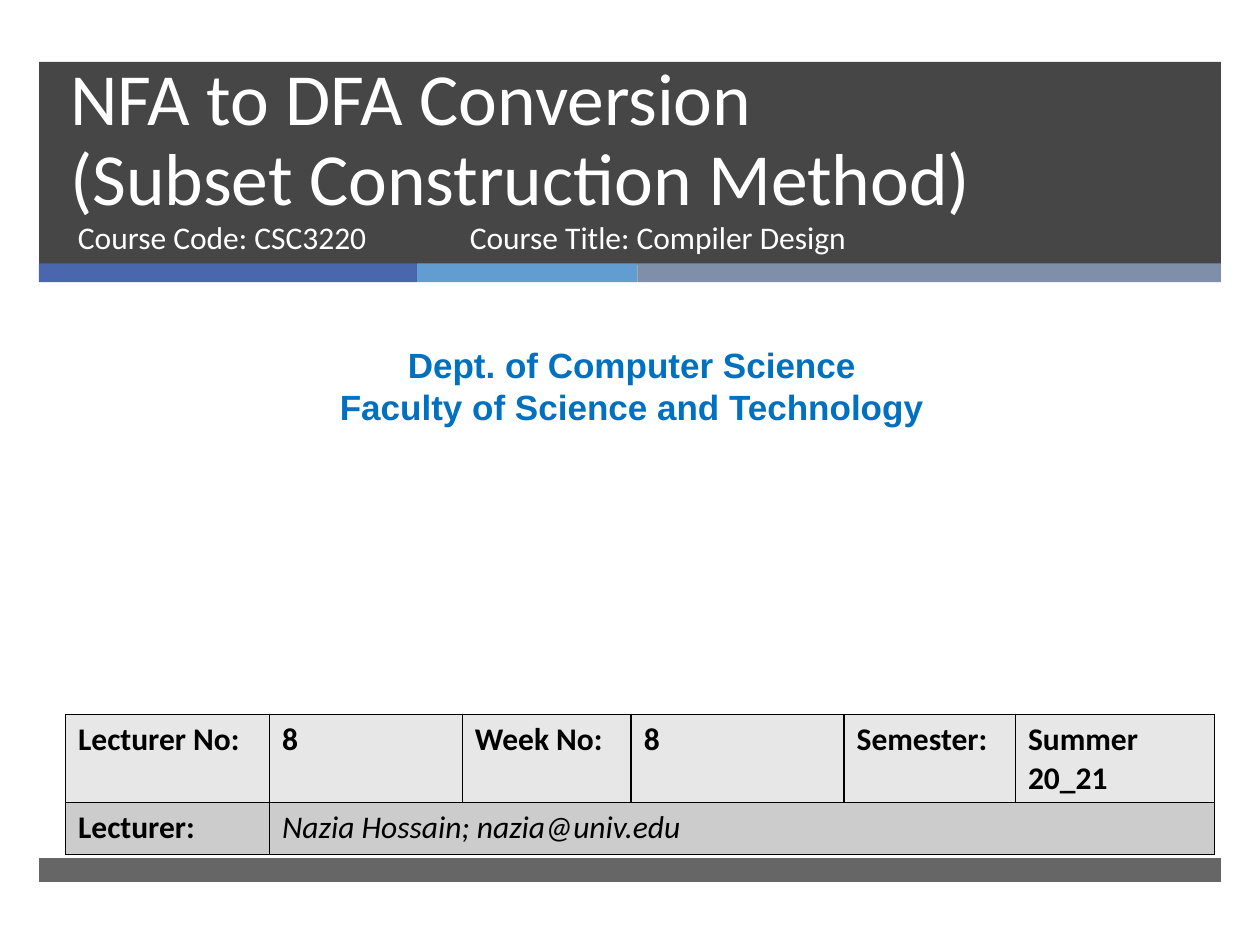
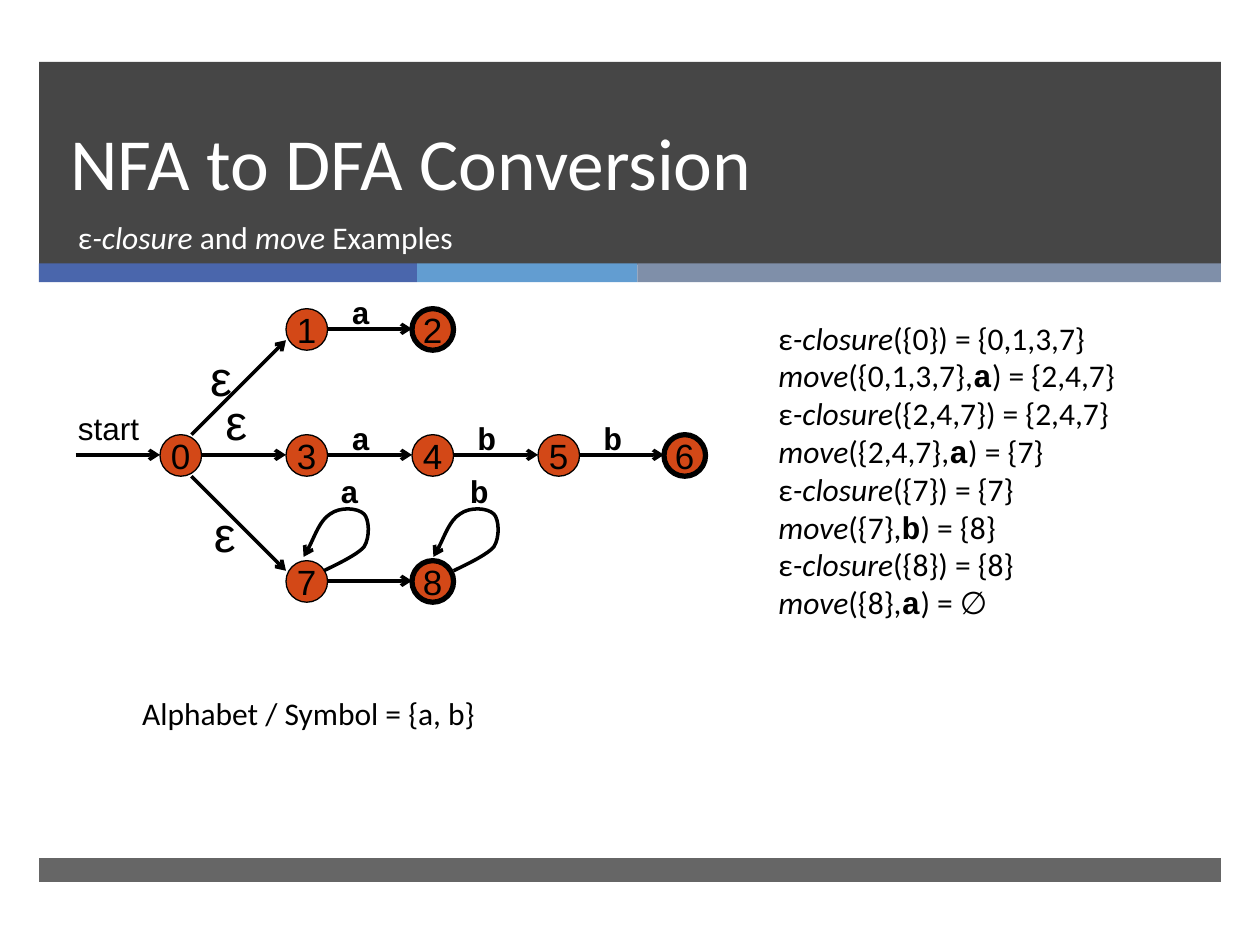
from typing import NamedTuple

from lxml.etree import SubElement
from pptx import Presentation
from pptx.dml.color import RGBColor
from pptx.enum.shapes import MSO_CONNECTOR, MSO_SHAPE
from pptx.enum.text import MSO_ANCHOR, MSO_AUTO_SIZE, PP_ALIGN
from pptx.oxml.ns import qn
from pptx.util import Inches, Pt

# Colours
WHITE = RGBColor(0xFF, 0xFF, 0xFF)
BLACK = RGBColor(0x00, 0x00, 0x00)
CHARCOAL = RGBColor(0x26, 0x26, 0x26)
INDIGO = RGBColor(0x4A, 0x66, 0xAC)
SKY = RGBColor(0x62, 0x9D, 0xD1)
SLATE = RGBColor(0x7F, 0x8F, 0xA9)
DEPARTMENT_BLUE = RGBColor(0x00, 0x70, 0xC0)
STATE_ORANGE = RGBColor(0xD3, 0x48, 0x17)
ROW_LIGHT = RGBColor(0xE7, 0xE7, 0xE7)
ROW_DARK = RGBColor(0xCC, 0xCC, 0xCC)

# Text styles
TITLE = {"name": "Calibri", "size": Pt(42), "color": WHITE}
SUBTITLE = {"name": "Calibri", "size": Pt(18), "color": WHITE}
BODY = {"name": "Calibri", "size": Pt(18), "color": BLACK}
BODY_BOLD = BODY | {"bold": True}
BODY_ITALIC = BODY | {"italic": True}
SYMBOL = BODY_BOLD | {"name": "Courier New"}
DEPARTMENT = {"name": "Arial", "size": Pt(20), "bold": True, "color": DEPARTMENT_BLUE}
STATE_TEXT = {"name": "Arial", "size": Pt(20), "color": BLACK}
START_TEXT = STATE_TEXT | {"size": Pt(18)}
EPSILON = STATE_TEXT | {"size": Pt(28)}

STATE_SIZE = 0.33


class Box(NamedTuple):
    left: float
    top: float
    width: float
    height: float


class Band(NamedTuple):
    box: Box
    color: RGBColor
    opacity: int = 100


class Run(NamedTuple):
    text: str
    style: dict


class State(NamedTuple):
    label: str
    column: int
    row: int
    accepting: bool = False

    @property
    def left(self) -> float:
        return 1.27 + self.column

    @property
    def top(self) -> float:
        return 2.45 + self.row


class Transition(NamedTuple):
    source: str
    target: str
    symbol: str = ""


BANDS = [
    Band(Box(0.31, 0.49, 9.38, 1.61), CHARCOAL, 85),
    Band(Box(0.31, 2.09, 3, 0.15), INDIGO),
    Band(Box(3.31, 2.09, 1.75, 0.15), SKY),
    Band(Box(5.06, 2.09, 4.63, 0.15), SLATE),
    Band(Box(0.31, 6.81, 9.38, 0.19), CHARCOAL, 70),
]

STATES = [
    State("0", 0, 1),
    State("1", 1, 0),
    State("2", 2, 0, True),
    State("3", 1, 1),
    State("4", 2, 1),
    State("5", 3, 1),
    State("6", 4, 1, True),
    State("7", 1, 2),
    State("8", 2, 2, True),
]

TRANSITIONS = [
    Transition("1", "2", "a"),
    Transition("0", "3"),
    Transition("3", "4", "a"),
    Transition("4", "5", "b"),
    Transition("5", "6", "b"),
    Transition("7", "8"),
]

# Self-loop as a start point and Bézier triples, for state 7
LOOP_POINTS = [
    (2.57, 4.53),
    (2.63, 4.5), (2.83, 4.41), (2.89, 4.34),
    (2.94, 4.26), (2.93, 4.12), (2.89, 4.08),
    (2.84, 4.03), (2.7, 4.02), (2.62, 4.08),
    (2.54, 4.13), (2.46, 4.35), (2.41, 4.42),
]


def inches(box: Box) -> list:
    return [Inches(value) for value in box]


def write_runs(paragraph, runs: list[Run]) -> None:
    for text, style in runs:
        for index, line in enumerate(text.split("\n")):
            if index:
                paragraph.add_line_break()
            if not line:
                continue
            run = paragraph.add_run()
            run.text = line
            for name, value in style.items():
                if name == "color":
                    run.font.color.rgb = value
                else:
                    setattr(run.font, name, value)


def add_text(slide, box: Box, *paragraphs: list[Run], wrap: bool = True,
             **formats) -> None:
    frame = slide.shapes.add_textbox(*inches(box)).text_frame
    frame.word_wrap = wrap
    if not wrap:
        frame.auto_size = MSO_AUTO_SIZE.SHAPE_TO_FIT_TEXT
    frame.vertical_anchor = formats.pop("anchor", MSO_ANCHOR.TOP)
    for index, runs in enumerate(paragraphs):
        paragraph = frame.add_paragraph() if index else frame.paragraphs[0]
        for name, value in formats.items():
            setattr(paragraph, name, value)
        write_runs(paragraph, runs)


def add_filled_shape(slide, kind, box: Box, color: RGBColor):
    shape = slide.shapes.add_shape(kind, *inches(box))
    shape.shadow.inherit = False
    shape.fill.solid()
    shape.fill.fore_color.rgb = color
    shape.line.fill.background()
    return shape


def add_titled_slide(presentation, title: str, title_box: Box,
                     subtitle: list[Run], subtitle_width: float):
    slide = presentation.slides.add_slide(presentation.slide_layouts[6])
    for band in BANDS:
        shape = add_filled_shape(slide, MSO_SHAPE.RECTANGLE, band.box, band.color)
        if band.opacity < 100:
            color = next(shape.fill._xPr.iter(qn("a:srgbClr")))
            SubElement(color, qn("a:alpha"), val=str(band.opacity * 1000))
    add_text(slide, title_box, [Run(title, TITLE)],
             anchor=MSO_ANCHOR.BOTTOM, line_spacing=Pt(46))
    add_text(slide, Box(0.52, 1.68, subtitle_width, 0.53), subtitle)
    return slide


# Lecture table
def add_borders(cell) -> None:
    properties = cell._tc.get_or_add_tcPr()
    for side in ("lnL", "lnR", "lnT", "lnB"):
        line = SubElement(properties, qn(f"a:{side}"), w=str(Pt(1)))
        fill = SubElement(line, qn("a:solidFill"))
        SubElement(fill, qn("a:srgbClr"), val=str(BLACK))


def add_lecture_table(slide) -> None:
    widths = [1.62, 1.53, 1.34, 1.69, 1.36, 1.58]
    rows = [
        [Run(text, BODY_BOLD) for text in
         ("Lecturer No:", "8", "Week No:", "8", "Semester:", "Summer 20_21")],
        [Run("Lecturer:", BODY_BOLD),
         Run("Nazia Hossain; nazia@univ.edu", BODY_ITALIC)],
    ]
    box = Box(0.52, 5.67, sum(widths), 0.82)
    table = slide.shapes.add_table(len(rows), len(widths), *inches(box)).table
    table.first_row = table.horz_banding = False
    for column, width in zip(table.columns, widths):
        column.width = Inches(width)
    for row, runs, color in zip(table.rows, rows, (ROW_LIGHT, ROW_DARK)):
        row.height = Inches(0.41)
        for cell in row.cells:
            add_borders(cell)
            cell.fill.solid()
            cell.fill.fore_color.rgb = color
        for cell, run in zip(row.cells, runs):
            write_runs(cell.text_frame.paragraphs[0], [run])
    table.cell(1, 1).merge(table.cell(1, 5))


# Automaton
def style_arrow(shape) -> None:
    shape.line.color.rgb = BLACK
    shape.line.width = Pt(2)
    SubElement(shape.line._get_or_add_ln(), qn("a:tailEnd"), type="arrow")


def add_arrow(slide, start: tuple[float, float], end: tuple[float, float]) -> None:
    connector = slide.shapes.add_connector(
        MSO_CONNECTOR.STRAIGHT, *(Inches(value) for value in start + end))
    style_arrow(connector)
    SubElement(connector._element.spPr, qn("a:effectLst"))


def add_loop(slide, offset: float) -> None:
    start, *rest = [(Inches(x + offset), Inches(y)) for x, y in LOOP_POINTS]
    builder = slide.shapes.build_freeform(*start)
    builder.add_line_segments(rest, close=False)
    shape = builder.convert_to_shape()
    # Turn each three line segments into one cubic curve
    segments = list(shape._element.iter(qn("a:lnTo")))
    for index in range(0, len(segments), 3):
        curve = SubElement(segments[index].getparent(), qn("a:cubicBezTo"))
        for segment in segments[index:index + 3]:
            curve.append(segment[0])
            segment.getparent().remove(segment)
    shape.shadow.inherit = False
    shape.fill.background()
    style_arrow(shape)


def add_state(slide, state: State) -> None:
    box = Box(state.left, state.top, STATE_SIZE, STATE_SIZE)
    circle = add_filled_shape(slide, MSO_SHAPE.OVAL, box, STATE_ORANGE)
    circle.line.color.rgb = BLACK
    circle.line.width = Pt(3 if state.accepting else 0.75)
    frame = circle.text_frame
    frame.word_wrap = False
    frame.vertical_anchor = MSO_ANCHOR.MIDDLE
    frame.paragraphs[0].alignment = PP_ALIGN.CENTER
    write_runs(frame.paragraphs[0], [Run(state.label, STATE_TEXT)])


def add_label(slide, text: str, style: dict, box: Box) -> None:
    add_text(slide, box, [Run(text, style)], wrap=False)


def add_automaton(slide) -> None:
    states = {state.label: state for state in STATES}
    for state in STATES:
        add_state(slide, state)
    for transition in TRANSITIONS:
        source, target = states[transition.source], states[transition.target]
        middle = source.top + 0.16
        add_arrow(slide, (source.left + STATE_SIZE, middle), (target.left, middle))
        if transition.symbol:
            add_label(slide, transition.symbol, SYMBOL,
                      Box(source.left + 0.42, source.top - 0.17, 0.35, 0.4))
    # Start arrow and the two slanted moves out of state 0
    add_arrow(slide, (0.6, 3.61), (1.27, 3.61))
    add_arrow(slide, (1.52, 3.45), (2.27, 2.7))
    add_arrow(slide, (1.52, 3.78), (2.27, 4.53))
    add_label(slide, "start", START_TEXT, Box(0.52, 3.2, 0.69, 0.4))
    for left, top in ((1.57, 2.71), (1.69, 3.06), (1.6, 3.95)):
        add_label(slide, "ε", EPSILON, Box(left, top, 0.37, 0.57))
    for symbol, offset in (("a", 0), ("b", 1.03)):
        add_loop(slide, offset)
        add_label(slide, symbol, SYMBOL, Box(2.6 + offset, 3.7, 0.35, 0.4))


# Worked examples
def closure(states: str, result: str) -> list[Run]:
    return [Run("ε", BODY), Run("-closure", BODY_ITALIC),
            Run(f"({{{states}}}) = {{{result}}}\n", BODY)]


def move(states: str, symbol: str, result: str) -> list[Run]:
    return [Run("move", BODY_ITALIC), Run(f"({{{states}}},", BODY),
            Run(symbol, SYMBOL), Run(f") = {result}", BODY)]


def main() -> None:
    presentation = Presentation()
    presentation.slide_width = Inches(10)
    presentation.slide_height = Inches(7.5)

    # Slide 1: cover
    cover = add_titled_slide(
        presentation, "NFA to DFA Conversion\n(Subset Construction Method)",
        Box(0.46, 0.57, 8.54, 1.23), [Run("Course Code: CSC3220", SUBTITLE)], 3.05)
    add_text(cover, Box(3.63, 1.68, 4.55, 0.53),
             [Run("Course Title: Compiler Design", SUBTITLE)])
    add_text(cover, Box(0.08, 2.68, 9.87, 0.77),
             [Run("Dept. of Computer Science", DEPARTMENT)],
             [Run("Faculty of Science and Technology", DEPARTMENT)],
             alignment=PP_ALIGN.CENTER)
    add_lecture_table(cover)

    # Slide 2: closure and move examples
    italic = SUBTITLE | {"italic": True}
    examples = add_titled_slide(
        presentation, "NFA to DFA Conversion", Box(0.46, 0.49, 8.54, 1.19),
        [Run("ε", SUBTITLE), Run("-closure", italic), Run(" and ", SUBTITLE),
         Run("move", italic), Run(" Examples", SUBTITLE)], 8.48)
    add_automaton(examples)
    add_text(examples, Box(6.08, 2.48, 3.16, 2.52), [
        *closure("0", "0,1,3,7"), *move("0,1,3,7", "a", "{2,4,7}\n"),
        *closure("2,4,7", "2,4,7"), *move("2,4,7", "a", "{7}\n"),
        *closure("7", "7"), *move("7", "b", "{8}\n"),
        *closure("8", "8"), *move("8", "a", "∅"),
    ], wrap=False)
    add_text(examples, Box(1.03, 5.46, 3.84, 0.4),
             [Run("Alphabet / Symbol = {a, b}", BODY)])

    presentation.save("out.pptx")


if __name__ == "__main__":
    main()
